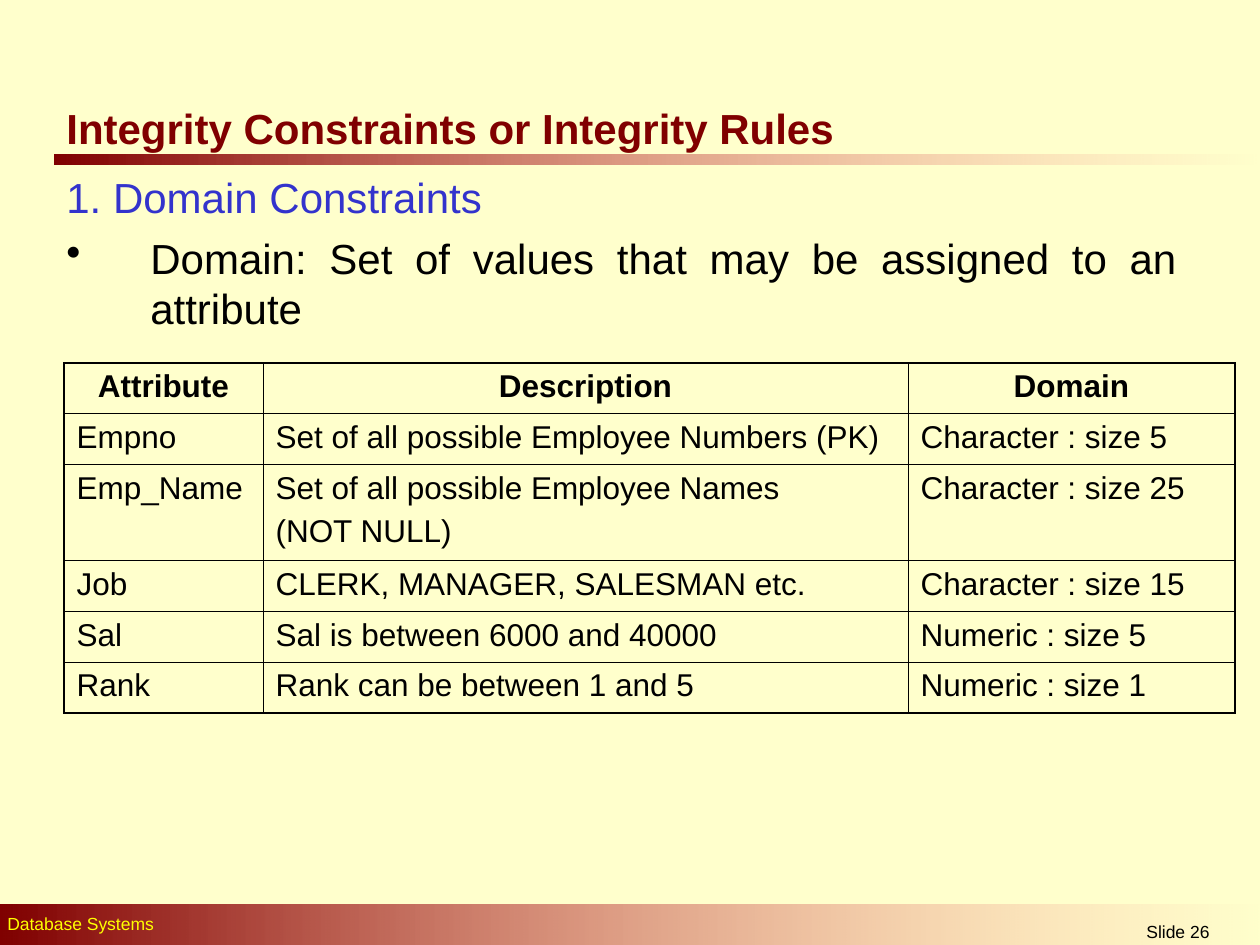
from pptx import Presentation
from pptx import util as u
from pptx.dml.color import RGBColor
from pptx.enum import shapes, text
from pptx.oxml import parse_xml
from pptx.oxml.ns import nsdecls

PX = 914400 / 126
CREAM = RGBColor(0xFF, 0xFF, 0xCC)
MAROON = RGBColor(0x80, 0x00, 0x00)
PINK = RGBColor(0xFF, 0x85, 0x85)
YELLOW = RGBColor(0xFF, 0xFF, 0x00)
BLUE = RGBColor(0x33, 0x33, 0xCC)
BLACK = RGBColor(0x00, 0x00, 0x00)


def px(*lengths):
    """Turn pixel lengths into EMU."""
    return [u.Emu(round(length * PX)) for length in lengths]


def style(paragraph, size, color, bold=False, align=text.PP_ALIGN.LEFT):
    paragraph.alignment = align
    for run in paragraph.runs:
        run.font.name = "Arial"
        run.font.size = u.Pt(size)
        run.font.bold = bold
        run.font.color.rgb = color


presentation = Presentation()
presentation.slide_width, presentation.slide_height = px(1260, 945)
slide = presentation.slides.add_slide(presentation.slide_layouts[6])
slide.background.fill.solid()
slide.background.fill.fore_color.rgb = CREAM

# Bars under the title and in the footer, fading out to the right
for box in [(54, 155, 1206, 10), (0, 905, 1264, 44)]:
    bar = slide.shapes.add_shape(shapes.MSO_SHAPE.RECTANGLE, *px(*box))
    bar.shadow.inherit = False
    bar.line.fill.background()
    bar.fill.gradient()
    bar.fill.gradient_angle = 0
    for stop, position, color in zip(bar.fill.gradient_stops, (0, 1), (MAROON, PINK)):
        stop.position = position
        stop.color.rgb = color
    end_color = bar.element.spPr.xpath(".//a:gs/a:srgbClr")[-1]
    end_color.append(parse_xml(f'<a:alpha {nsdecls("a")} val="0"/>'))

# Title and footer lines
LINES = [
    ("Integrity Constraints or Integrity Rules", (54, 101, 843, 54), 24, MAROON, True,
     text.PP_ALIGN.LEFT, text.MSO_ANCHOR.MIDDLE),
    ("Database Systems", (-5, 907, 814, 34), 10, YELLOW, False,
     text.PP_ALIGN.LEFT, text.MSO_ANCHOR.TOP),
    ("Slide 26", (1047, 915, 262, 30), 10, BLACK, False,
     text.PP_ALIGN.CENTER, text.MSO_ANCHOR.TOP),
]
for words, box, size, color, bold, align, anchor in LINES:
    frame = slide.shapes.add_textbox(*px(*box)).text_frame
    frame.word_wrap = True
    frame.vertical_anchor = anchor
    frame.text = words
    style(frame.paragraphs[0], size, color, bold, align)

# Body
body = slide.shapes.add_textbox(*px(54, 165, 1135, 179)).text_frame
body.word_wrap = True
body.text = ("1. Domain Constraints\n"
             "Domain: Set of values that may be assigned to an attribute")
heading, definition = body.paragraphs
indent = px(84)[0]
properties = definition._p.get_or_add_pPr()
properties.set("marL", str(indent))
properties.set("indent", str(-indent))
properties.append(parse_xml(f'<a:buChar {nsdecls("a")} char="•"/>'))
definition.space_before = u.Pt(6)
style(heading, 24, BLUE, align=text.PP_ALIGN.JUSTIFY)
style(definition, 24, BLACK, align=text.PP_ALIGN.JUSTIFY)

# Table of attributes and their domains
ROWS = [
    ("Attribute", "Description", "Domain"),
    ("Empno", "Set of all possible Employee Numbers (PK)", "Character : size 5"),
    ("Emp_Name", "Set of all possible Employee Names\n(NOT NULL)", "Character : size 25"),
    ("Job", "CLERK, MANAGER, SALESMAN etc.", "Character : size 15"),
    ("Sal", "Sal is between 6000 and 40000", "Numeric : size 5"),
    ("Rank", "Rank can be between 1 and 5", "Numeric : size 1"),
]
COLUMN_WIDTHS = [199, 645, 327]
ROW_HEIGHTS = [50, 51, 96, 51, 50, 51]
OUTER, INNER = u.Pt(1.08), u.Pt(0.45)

table = slide.shapes.add_table(
    len(ROWS), len(COLUMN_WIDTHS),
    *px(64, 363, sum(COLUMN_WIDTHS), sum(ROW_HEIGHTS))).table
table.first_row = False
table.horz_banding = False
for column, width in zip(table.columns, px(*COLUMN_WIDTHS)):
    column.width = width
for row, height in zip(table.rows, px(*ROW_HEIGHTS)):
    row.height = height

last_row, last_column = len(ROWS) - 1, len(COLUMN_WIDTHS) - 1
for i, row in enumerate(ROWS):
    for j, words in enumerate(row):
        cell = table.cell(i, j)
        cell.text = words
        header = i == 0
        for number, paragraph in enumerate(cell.text_frame.paragraphs):
            if number:
                paragraph.space_before = u.Pt(4.5)
            style(paragraph, 18, BLACK, header,
                  text.PP_ALIGN.CENTER if header else text.PP_ALIGN.LEFT)
        on_edge = {"L": j == 0, "R": j == last_column, "T": i == 0, "B": i == last_row}
        cell_properties = cell._tc.get_or_add_tcPr()
        for side, outer in on_edge.items():
            cell_properties.append(parse_xml(
                f'<a:ln{side} {nsdecls("a")} w="{OUTER if outer else INNER}">'
                f'<a:solidFill><a:srgbClr val="{BLACK}"/></a:solidFill></a:ln{side}>'))
        cell.fill.background()

presentation.save("out.pptx")
